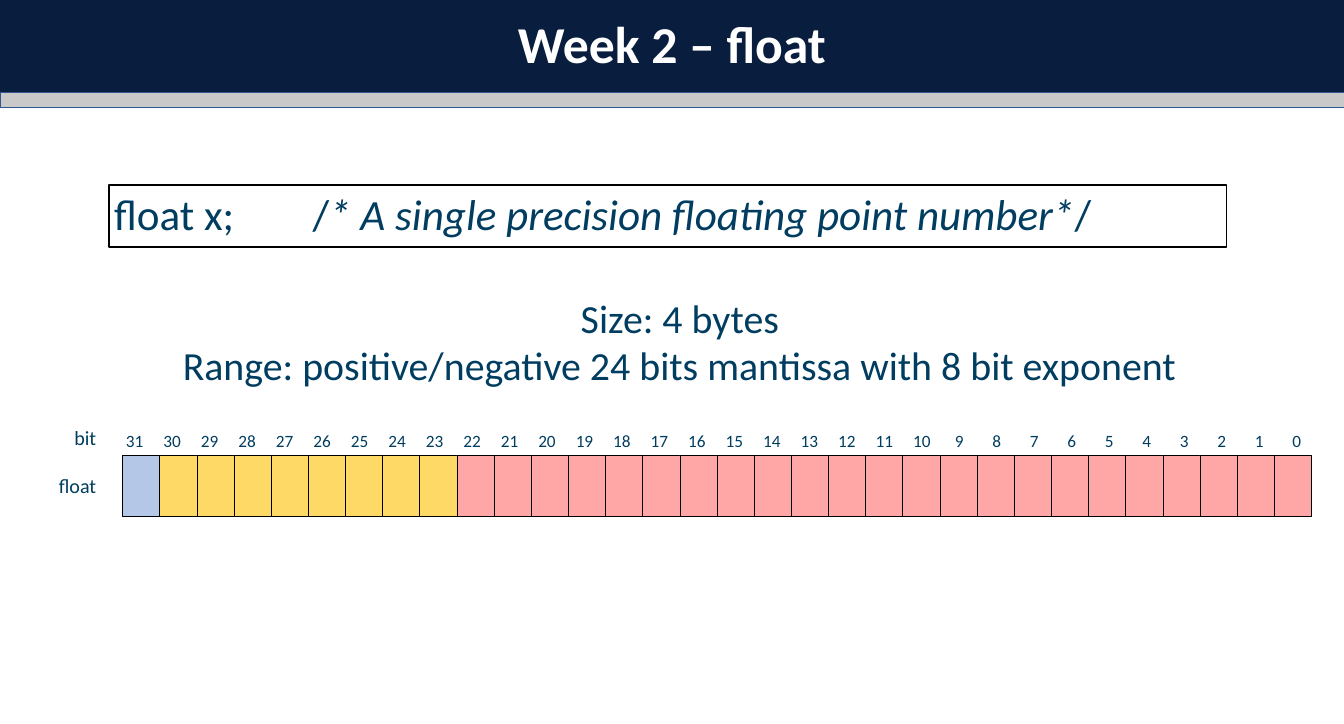
from pptx import Presentation
from pptx.dml.color import RGBColor
from pptx.enum.shapes import MSO_SHAPE as Shape
from pptx.enum.text import MSO_ANCHOR as Anchor, MSO_AUTO_SIZE as Auto, PP_ALIGN as Align
from pptx.oxml import parse_xml
from pptx.oxml.ns import nsdecls
from pptx.util import Inches, Pt

NAVY, INK, WHITE, BLACK = "091D3F", "003D60", "FFFFFF", "000000"
GREY, EDGE = "C9C9C9", "325491"
SIGN, POWER, DIGITS = "B4C7E7", "FFD966", "FFA6A6"
BITS = 32


def paint(target, hue):
    """Give a fill or a font a solid colour."""
    if hasattr(target, "solid"):
        target.solid()
        target.fore_color.rgb = RGBColor.from_string(hue)
    else:
        target.color.rgb = RGBColor.from_string(hue)


def write(shape, lines, size, align, anchor=Anchor.TOP, hue=INK):
    """Set the text, one paragraph a line, and return the paragraphs."""
    frame = shape.text_frame
    frame.word_wrap = True
    frame.auto_size = Auto.NONE
    frame.vertical_anchor = anchor
    frame.text = "\n".join(lines)
    for para in frame.paragraphs:
        para.alignment = align
        para.font.name = "Calibri"
        para.font.size = Pt(size)
        paint(para.font, hue)
    return frame.paragraphs


deck = Presentation()
deck.slide_width, deck.slide_height = Inches(26), Inches(14)
slide = deck.slides.add_slide(deck.slide_layouts[5])
shapes = slide.shapes

# Title band
title = shapes.title
title.left, title.top = Inches(0), Inches(0)
title.width, title.height = Inches(26), Inches(1.79)
paint(title.fill, NAVY)
head = write(title, ["Week 2 – float"], 72, Align.CENTER, Anchor.MIDDLE, WHITE)[0]
head.font.bold = True
head.line_spacing = 0.9

# Grey strip under the title
strip = shapes.add_shape(Shape.RECTANGLE, Inches(0), Inches(1.79), Inches(26), Inches(0.29))
strip.shadow.inherit = False
paint(strip.fill, GREY)
paint(strip.line.fill, EDGE)
strip.line.width = Pt(1)

# Declaration in a frame, with the remark at a tab stop
code = shapes.add_shape(Shape.RECTANGLE, Inches(2.11), Inches(3.58), Inches(21.62), Inches(1.2))
code.shadow.inherit = False
code.fill.background()
paint(code.line.fill, BLACK)
code.line.width = Pt(2.25)
line = write(code, [""], 60, Align.LEFT, Anchor.MIDDLE)[0]
line.line_spacing = 0.9
tabs = parse_xml(f'<a:tabLst {nsdecls("a")}><a:tab pos="{Inches(3.84)}" algn="l"/></a:tabLst>')
line.font._element.addprevious(tabs)
for text, slant in [
    ("float x;\t/", False),
    ("* A single precision floating point number*", True),
    ("/", False),
]:
    run = line.add_run()
    run.text = text
    run.font.italic = slant

# Size and range
facts = shapes.add_textbox(Inches(2.27), Inches(5.88), Inches(21.77), Inches(1.7))
rows = write(facts, [
    "Size: 4 bytes",
    "Range: positive/negative 24 bits mantissa with 8 bit exponent",
], 55.5, Align.CENTER)
for row in rows:
    row.line_spacing = 0.7
rows[1].space_before = Pt(18.7)

# Row names
for name, top in [("bit", 8.17), ("float", 9.1)]:
    label = shapes.add_textbox(Inches(0.76), Inches(top), Inches(1.2), Inches(0.58))
    write(label, [name], 28, Align.RIGHT)

# Bit numbers, from high to low, spread a little wider than the cells
gap = 22.48 / (BITS - 1)
for i in range(BITS):
    label = shapes.add_textbox(Inches(2.01 + i * gap), Inches(7.92), Inches(1.19), Inches(1.18))
    write(label, [str(BITS - 1 - i)], 24, Align.CENTER, Anchor.MIDDLE)

# Bit cells: 1 sign, 8 exponent, 23 mantissa
wide = 23 / BITS
for i, hue in enumerate([SIGN] + [POWER] * 8 + [DIGITS] * 23):
    cell = shapes.add_shape(
        Shape.RECTANGLE, Inches(2.37 + i * wide), Inches(8.8), Inches(wide), Inches(1.18))
    cell.shadow.inherit = False
    paint(cell.fill, hue)
    paint(cell.line.fill, BLACK)
    cell.line.width = Pt(0)

deck.save("out.pptx")
